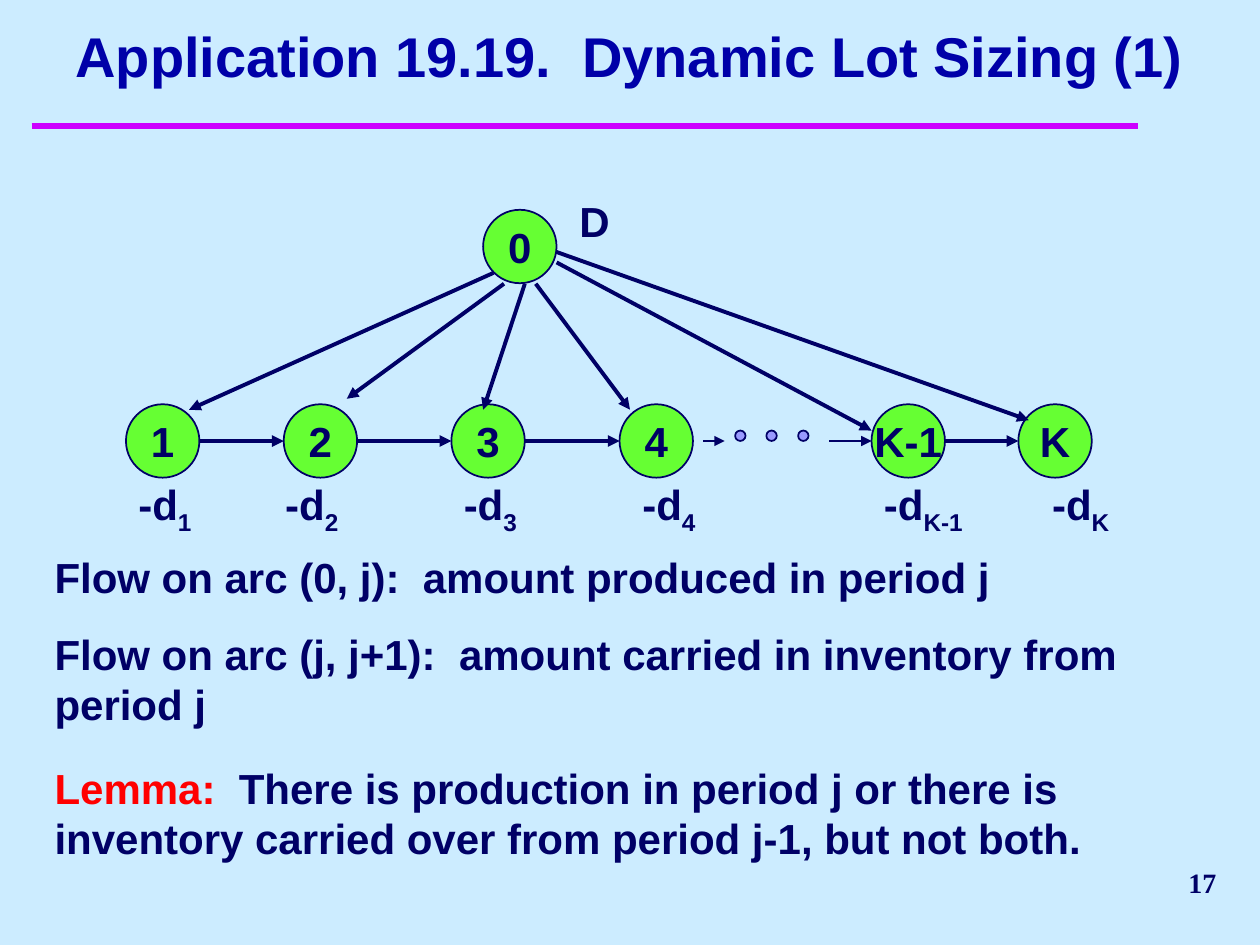
from lxml import etree
from pptx import Presentation
from pptx.dml.color import RGBColor
from pptx.enum import shapes as sh, text as tx
from pptx.oxml.ns import qn
from pptx.util import Cm, Pt

NAVY = RGBColor(0x00, 0x00, 0x66)
BLUE = RGBColor(0x00, 0x00, 0xA8)
SKY = RGBColor(0xCC, 0xEC, 0xFF)
PINK = RGBColor(0xCC, 0x00, 0xFF)
GREEN = RGBColor(0x66, 0xFF, 0x33)
LILAC = RGBColor(0x99, 0x99, 0xFF)
RED = RGBColor(0xFF, 0x00, 0x00)
LEFT, MID, RIGHT = tx.PP_ALIGN.LEFT, tx.PP_ALIGN.CENTER, tx.PP_ALIGN.RIGHT

deck = Presentation()
deck.slide_width, deck.slide_height = Cm(25.4), Cm(19.05)
slide = deck.slides.add_slide(deck.slide_layouts[6])
slide.background.fill.solid()
slide.background.fill.fore_color.rgb = SKY


def write(box, paras, size=24, color=NAVY, align=LEFT, font="Arial", wrap=True):
    """Fill a shape with paragraphs, each a list of run texts."""
    frame = box.text_frame
    frame.word_wrap = wrap
    for i, parts in enumerate(paras):
        para = frame.add_paragraph() if i else frame.paragraphs[0]
        para.alignment = align
        if i:
            para.space_before = Pt(15)
        for part in parts:
            run = para.add_run()
            run.text = part
            run.font.name, run.font.size, run.font.bold = font, Pt(size), True
            run.font.color.rgb = color
    return frame


def line(x1, y1, x2, y2, width=2.25, color=NAVY, head=True):
    """Draw a straight line, with an arrowhead at its end if asked."""
    link = slide.shapes.add_connector(
        sh.MSO_CONNECTOR.STRAIGHT, Cm(x1), Cm(y1), Cm(x2), Cm(y2))
    link.line.width = Pt(width)
    link.line.color.rgb = color
    if head:
        tip = etree.SubElement(link.line._get_or_add_ln(), qn("a:tailEnd"))
        tip.set("type", "triangle")
    etree.SubElement(link._element.spPr, qn("a:effectLst"))


# Title, rule and page number
line(0.64, 2.54, 22.94, 2.54, 4, PINK, head=False)
page = slide.shapes.add_textbox(Cm(19.9), Cm(17.15), Cm(4.87), Cm(1.27))
write(page, [["17"]], 16, align=RIGHT, font="Times New Roman", wrap=False)
page.text_frame.vertical_anchor = tx.MSO_ANCHOR.MIDDLE
title = slide.shapes.add_textbox(Cm(1.06), Cm(0.85), Cm(23.28), Cm(1.06))
write(title, [["Application 19.19.  Dynamic Lot Sizing (1)"]], 32, BLUE, MID)
title.text_frame.vertical_anchor = tx.MSO_ANCHOR.BOTTOM

# Nodes: the periods in a row, the source above
size, row = 1.48, 8.89
periods = [("1", 2.54), ("2", 5.72), ("3", 9.1),
           ("4", 12.49), ("K-1", 17.57), ("K", 20.53)]
nodes = [(name, x, row - size / 2) for name, x in periods] + [("0", 9.74, 4.23)]
dots = [("", x, 8.68) for x in (14.82, 15.45, 16.09)]
for name, x, y in nodes + dots:
    side = size if name else 0.21
    node = slide.shapes.add_shape(
        sh.MSO_SHAPE.OVAL, Cm(x), Cm(y), Cm(side), Cm(side))
    node.shadow.inherit = False
    node.fill.solid()
    node.fill.fore_color.rgb = GREEN if name else LILAC
    node.line.color.rgb = NAVY
    node.line.width = Pt(1)
    if name:
        frame = write(node, [[name]], align=MID, wrap=False)
        frame.vertical_anchor = tx.MSO_ANCHOR.MIDDLE

# Production arcs from the source
for ends in [(9.95, 5.5, 3.81, 8.26), (10.16, 5.72, 6.99, 8.04),
             (10.58, 5.72, 9.74, 8.26), (10.8, 5.72, 12.7, 8.26),
             (11.22, 5.29, 17.57, 8.68), (11.22, 5.08, 20.74, 8.47)]:
    line(*ends)

# Inventory arcs along the row, broken at the dots
for (name, x), (_, end) in zip(periods, periods[1:]):
    if name == "4":
        line(14.18, row, 14.61, row, 1)
        line(16.72, row, end, row, 1)
    else:
        line(x + size, row, end, row)

# Supply and demand labels
supply = slide.shapes.add_textbox(Cm(11.43), Cm(3.81), Cm(1.9), Cm(1.27))
write(supply, [["D"]])
for (name, _), x in zip(periods, (2.54, 5.5, 9.1, 12.7, 17.57, 20.96)):
    wide = 2.33 if name == "K-1" else 1.9
    label = slide.shapes.add_textbox(Cm(x), Cm(9.53), Cm(wide), Cm(1.42))
    frame = write(label, [["-d", name]])
    frame.paragraphs[0].runs[1].font._element.set("baseline", "-25000")

# Explanations
flows = slide.shapes.add_textbox(Cm(0.85), Cm(11), Cm(23.92), Cm(3.84))
write(flows, [
    ["Flow on arc (0, j):  amount produced in period j"],
    ["Flow on arc (j, j+1):  amount carried in inventory from period j"]])
lemma = slide.shapes.add_textbox(Cm(0.85), Cm(15.24), Cm(23.92), Cm(2.29))
frame = write(lemma, [["Lemma:", "  There is production in period j or there is "
                       "inventory carried over from period j-1, but not both."]])
frame.paragraphs[0].runs[0].font.color.rgb = RED

deck.save("out.pptx")
